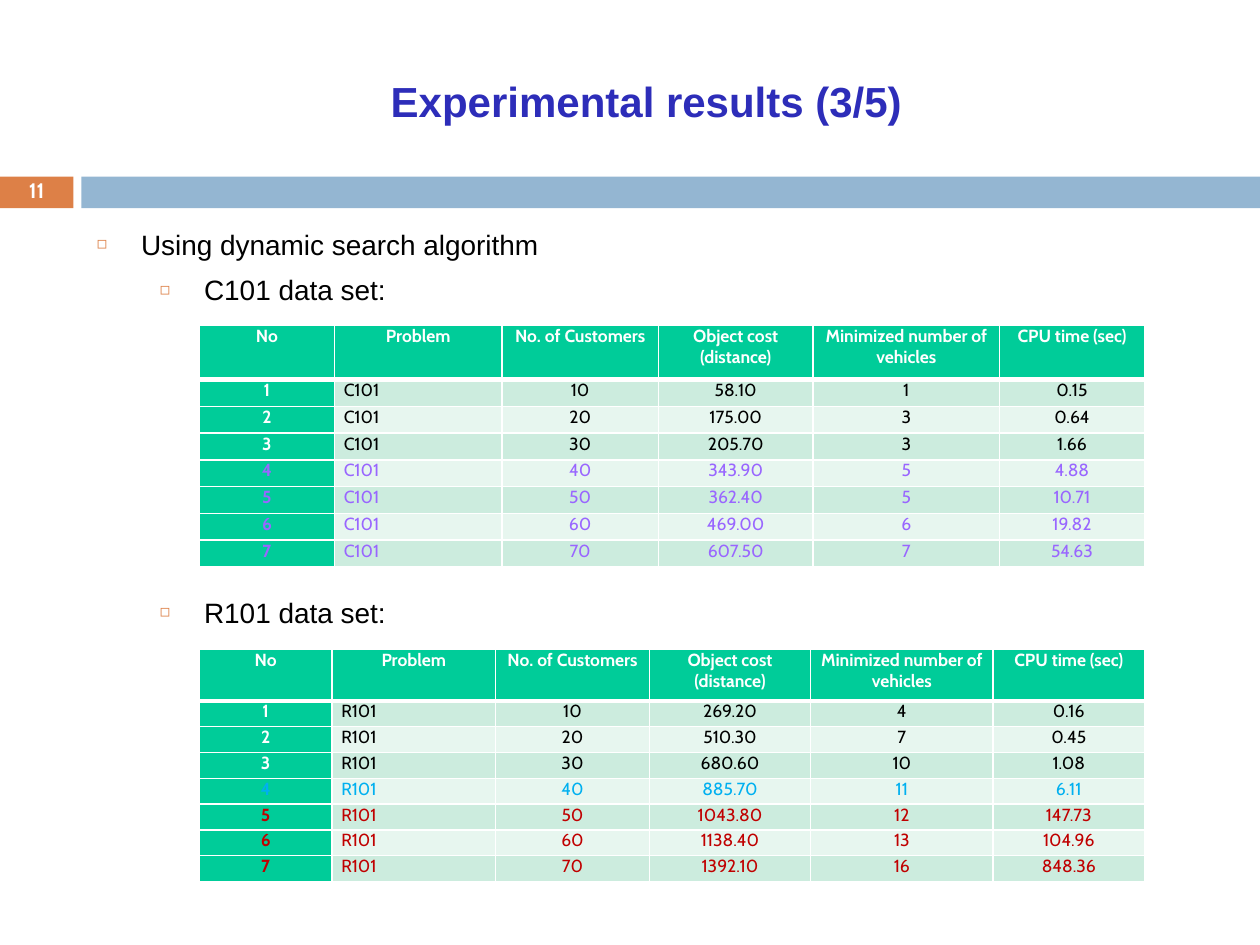
from dataclasses import dataclass

from lxml.etree import SubElement
from pptx import Presentation
from pptx.dml.color import RGBColor as Rgb
from pptx.enum.shapes import MSO_SHAPE as Preset
from pptx.enum.text import MSO_ANCHOR as Anchor, MSO_AUTO_SIZE as AutoSize, PP_ALIGN as Align
from pptx.oxml.ns import qn
from pptx.util import Cm, Pt


@dataclass(frozen=True)
class Theme:
    title: str = "2D2DB9"
    accent: str = "DD8047"
    bar: str = "94B6D2"
    white: str = "FFFFFF"
    text: str = "000000"
    head: str = "00CC99"
    odd_row: str = "CCECDE"
    even_row: str = "E7F6EF"
    purple: str = "9966FF"
    blue: str = "00B0F0"
    red: str = "C00000"
    sans: str = "Arial"
    label: str = "Cabin"
    title_size: int = 24
    body_size: int = 16
    number_size: int = 12
    cell_size: int = 10


THEME = Theme()

HEADINGS = ("No", "Problem", "No. of Customers", "Object cost (distance)",
            "Minimized number of vehicles", "CPU time (sec)")

# Cost, vehicles, CPU time and text colour for 10, 20, ... 70 customers
C101_RESULTS = (
    ("58.10", "1", "0.15", THEME.text),
    ("175.00", "3", "0.64", THEME.text),
    ("205.70", "3", "1.66", THEME.text),
    ("343.90", "5", "4.88", THEME.purple),
    ("362.40", "5", "10.71", THEME.purple),
    ("469.00", "6", "19.82", THEME.purple),
    ("607.50", "7", "54.63", THEME.purple),
)
R101_RESULTS = (
    ("269.20", "4", "0.16", THEME.text),
    ("510.30", "7", "0.45", THEME.text),
    ("680.60", "10", "1.08", THEME.text),
    ("885.70", "11", "6.11", THEME.blue),
    ("1043.80", "12", "147.73", THEME.red),
    ("1138.40", "13", "104.96", THEME.red),
    ("1392.10", "16", "848.36", THEME.red),
)


def style_font(paragraph, name, size, color, bold=False):
    font = paragraph.font
    font.name, font.size, font.bold = name, Pt(size), bold
    font.color.rgb = Rgb.from_string(color)


def place(shape, left, top, width, height):
    shape.left, shape.top = Cm(left), Cm(top)
    shape.width, shape.height = Cm(width), Cm(height)


def add_bar(slide, left, width, color):
    bar = slide.shapes.add_shape(Preset.RECTANGLE, Cm(left), Cm(3.56), Cm(width), Cm(0.64))
    bar.shadow.inherit = False
    bar.fill.solid()
    bar.fill.fore_color.rgb = Rgb.from_string(color)
    bar.line.fill.background()
    return bar


def add_page_number(bar, number):
    frame = bar.text_frame
    frame.vertical_anchor = Anchor.MIDDLE
    frame.margin_top = frame.margin_bottom = 0
    paragraph = frame.paragraphs[0]
    paragraph.text = number
    paragraph.alignment = Align.CENTER
    paragraph.line_spacing = 0.8
    style_font(paragraph, THEME.label, THEME.number_size, THEME.white, bold=True)


def fill_title(title, text):
    place(title, 1.7, 0.64, 22.66, 2.77)
    frame = title.text_frame
    frame.auto_size = AutoSize.NONE
    frame.vertical_anchor = Anchor.MIDDLE
    paragraph = frame.paragraphs[0]
    paragraph.text = text
    paragraph.alignment = Align.CENTER
    style_font(paragraph, THEME.sans, THEME.title_size, THEME.title, bold=True)


def set_bullet(paragraph, indent):
    properties = paragraph._p.get_or_add_pPr()
    properties.set("marL", str(Cm(indent)))
    properties.set("indent", str(Cm(-0.89)))
    color = SubElement(properties, qn("a:buClr"))
    SubElement(color, qn("a:srgbClr"), val=THEME.accent)
    SubElement(properties, qn("a:buSzPct"), val="60000")
    SubElement(properties, qn("a:buChar"), char="◻")


def fill_body(body, items):
    place(body, 1.7, 4.45, 22.63, 13.13)
    frame = body.text_frame
    frame.auto_size = AutoSize.NONE
    for index, (text, level, space_before) in enumerate(items):
        paragraph = frame.add_paragraph() if index else frame.paragraphs[0]
        paragraph.text = text
        paragraph.level = level
        paragraph.space_before = Pt(space_before)
        set_bullet(paragraph, 0.89 + 1.27 * level)
        style_font(paragraph, THEME.sans, THEME.body_size, THEME.text)


def set_borders(cell, **widths):
    properties = cell._tc.get_or_add_tcPr()
    for index, side in enumerate("LRTB"):
        line = properties.makeelement(qn(f"a:ln{side}"), {"w": str(Pt(widths.get(side, 1)))})
        fill = SubElement(line, qn("a:solidFill"))
        SubElement(fill, qn("a:srgbClr"), val=THEME.white)
        properties.insert(index, line)


def fill_cell(cell, text, fill, color, bold, alignment):
    cell.fill.solid()
    cell.fill.fore_color.rgb = Rgb.from_string(fill)
    cell.margin_left = cell.margin_right = Cm(0.19)
    cell.margin_top = cell.margin_bottom = 0
    paragraph = cell.text_frame.paragraphs[0]
    paragraph.text = text
    paragraph.alignment = alignment
    paragraph.line_spacing = 1.01
    style_font(paragraph, THEME.label, THEME.cell_size, color, bold)


def add_results_table(slide, problem, results, top, widths, head_height, row_height):
    height = head_height + row_height * len(results)
    table = slide.shapes.add_table(len(results) + 1, len(HEADINGS), Cm(4.02), Cm(top),
                                   Cm(sum(widths)), Cm(height)).table
    table.horz_banding = False
    for column, width in zip(table.columns, widths):
        column.width = Cm(width)
    for index, row in enumerate(table.rows):
        row.height = Cm(row_height if index else head_height)

    # Heading row
    for cell, heading in zip(table.rows[0].cells, HEADINGS):
        fill_cell(cell, heading, THEME.head, THEME.white, True, Align.CENTER)
        set_borders(cell, B=3)

    # Result rows
    for number, (*values, color) in enumerate(results, start=1):
        texts = (str(number), problem, str(10 * number), *values)
        band = THEME.odd_row if number % 2 else THEME.even_row
        for column, text in enumerate(texts):
            first = column == 0
            cell = table.cell(number, column)
            fill_cell(cell, text, THEME.head if first else band,
                      THEME.white if first and color == THEME.text else color,
                      first, Align.JUSTIFY if column == 1 else Align.CENTER)
            set_borders(cell, T=3 if number == 1 else 1)


def main():
    presentation = Presentation()
    presentation.slide_width, presentation.slide_height = Cm(25.4), Cm(19.05)
    slide = presentation.slides.add_slide(presentation.slide_layouts[1])

    # Title and divider
    fill_title(slide.shapes.title, "Experimental results (3/5)")
    add_page_number(add_bar(slide, 0, 1.48, THEME.accent), "11")
    add_bar(slide, 1.64, 23.76, THEME.bar)

    # List, with room for the first table
    fill_body(slide.placeholders[1], (
        ("Using dynamic search algorithm", 0, 7),
        ("C101 data set:", 1, 7),
        ("R101 data set:", 1, 165),
    ))

    # Result tables
    add_results_table(slide, "C101", C101_RESULTS, 6.56,
                      (2.72, 3.38, 3.15, 3.12, 3.76, 2.92), 1.09, 0.54)
    add_results_table(slide, "R101", R101_RESULTS, 13.09,
                      (2.67, 3.3, 3.1, 3.25, 3.68, 3.05), 1.04, 0.52)

    presentation.save("out.pptx")


if __name__ == "__main__":
    main()
